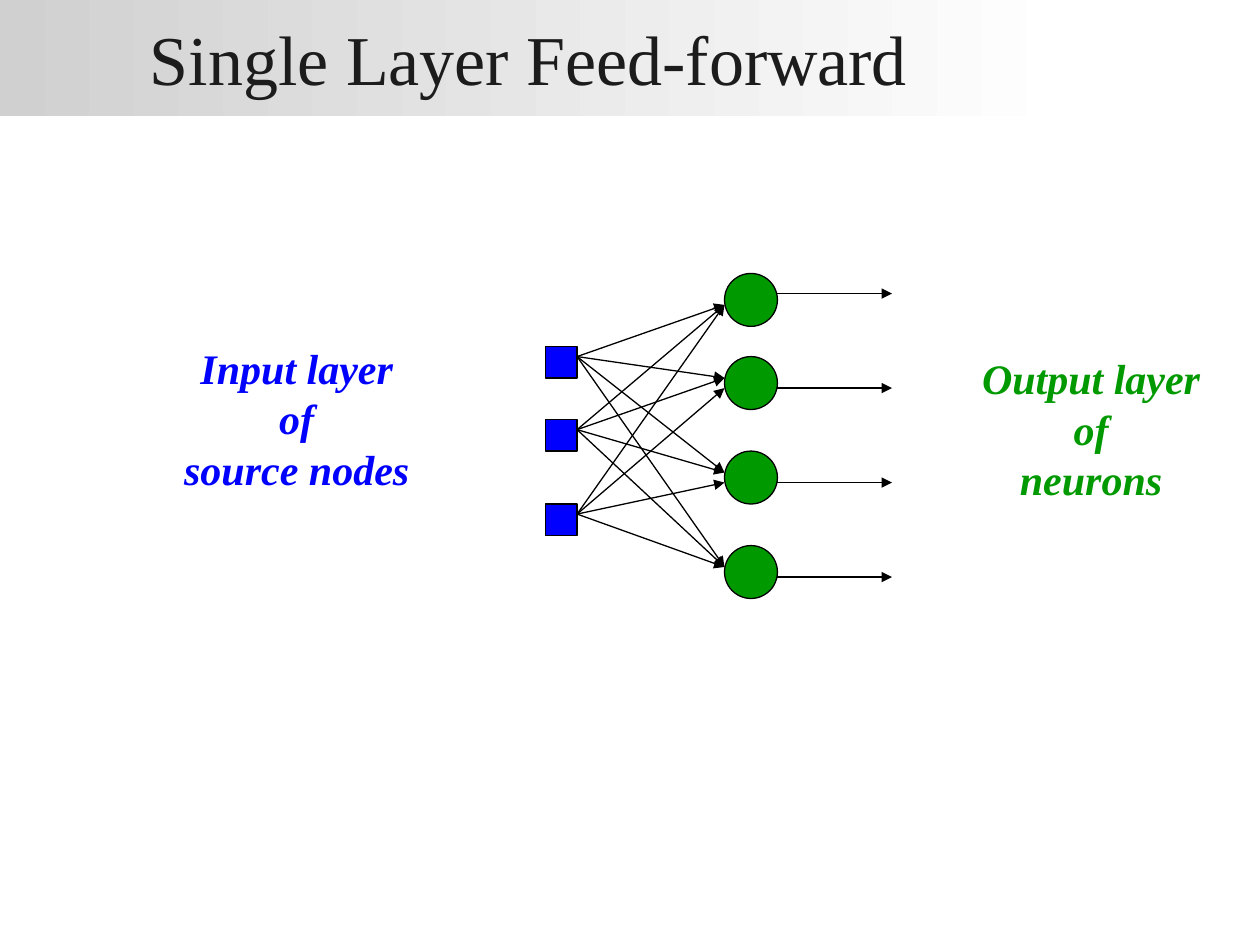
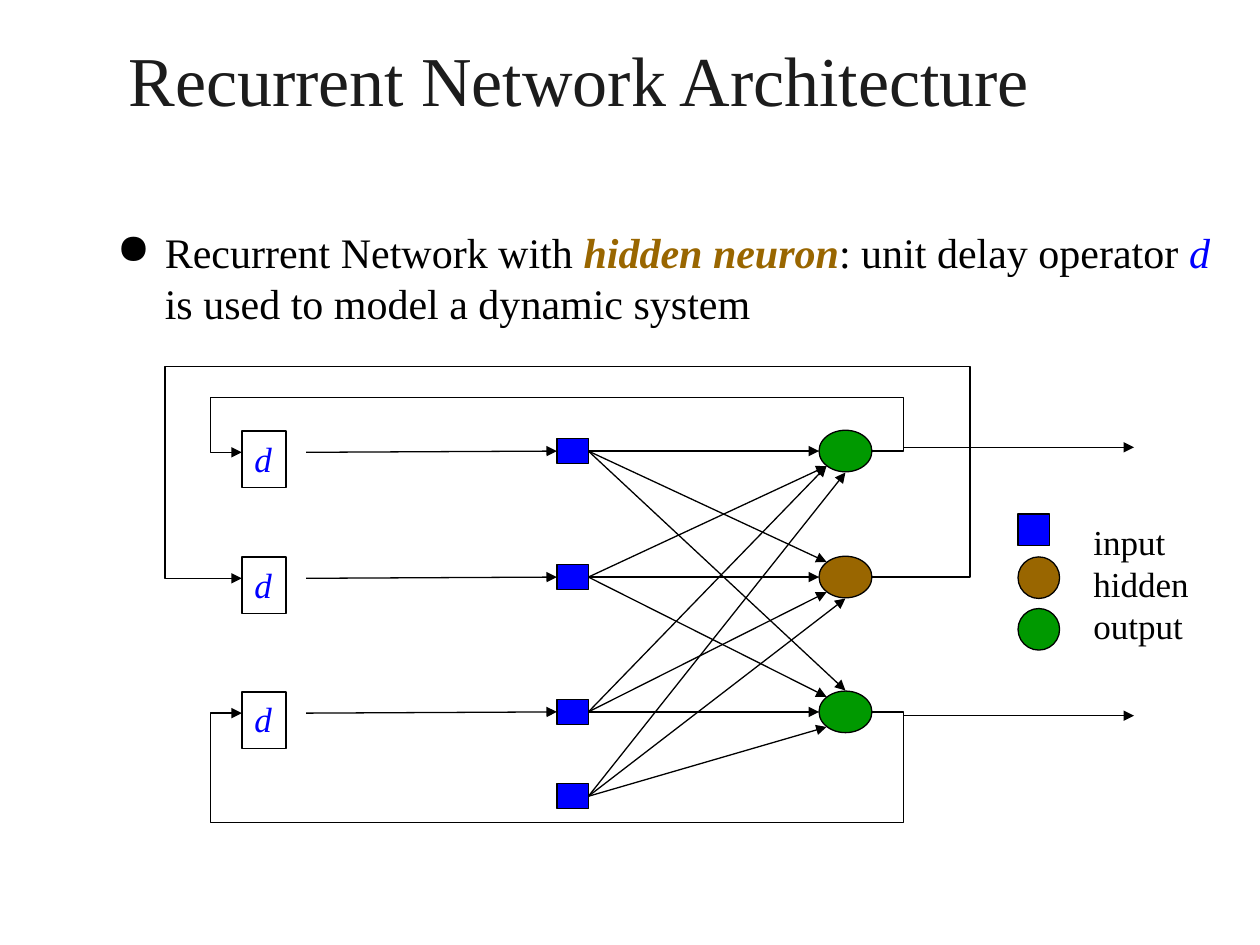
from lxml.etree import SubElement
from pptx import Presentation
from pptx.dml.color import RGBColor
from pptx.enum.shapes import MSO_CONNECTOR, MSO_SHAPE
from pptx.enum.text import MSO_ANCHOR, PP_ALIGN
from pptx.oxml.ns import qn
from pptx.util import Inches, Pt

FONT = "Times New Roman"
COLORS = {
    "title": "1C1C1C",
    "text": "000000",
    "line": "000000",
    "input": "0000FF",
    "hidden": "996600",
    "output": "009900",
    "band_start": "D0D0D0",
    "band_end": "FFFFFF",
}
LINE_WIDTH = 0.75
TITLE_ONLY = 5


def rgb(name):
    return RGBColor.from_string(COLORS[name])


def style_run(run, size, color, bold=False, italic=False):
    font = run.font
    font.name, font.size = FONT, Pt(size)
    font.bold, font.italic = bold, italic
    font.color.rgb = rgb(color)


def style_paragraphs(frame, size, color, align=PP_ALIGN.LEFT, bold=False, italic=False):
    for paragraph in frame.paragraphs:
        paragraph.alignment = align
        paragraph.line_spacing = Pt(size * 1.2)
        for run in paragraph.runs:
            style_run(run, size, color, bold, italic)


def add_titled_slide(prs, text, box, left_inset=0.02, right_inset=0.02):
    slide = prs.slides.add_slide(prs.slide_layouts[TITLE_ONLY])
    title = slide.shapes.title
    title.left, title.top, title.width, title.height = map(Inches, box)
    frame = title.text_frame
    frame.text = text
    frame.vertical_anchor = MSO_ANCHOR.MIDDLE
    frame.margin_left, frame.margin_right = Inches(left_inset), Inches(right_inset)
    frame.margin_top = frame.margin_bottom = Inches(0.01)
    frame.paragraphs[0].alignment = PP_ALIGN.CENTER
    style_run(frame.paragraphs[0].runs[0], 40, "title")
    return slide


def add_title_band(title):
    title.fill.gradient()
    title.fill.gradient_angle = 0
    for stop, color in zip(title.fill.gradient_stops, ("band_start", "band_end")):
        stop.color.rgb = rgb(color)


def add_label(slide, text, box, size, color, wrap=False, **style):
    label = slide.shapes.add_textbox(*map(Inches, box))
    label.text_frame.word_wrap = wrap
    label.text_frame.text = text
    style_paragraphs(label.text_frame, size, color, **style)


def add_node(slide, kind, left, top, width, height):
    """Input nodes are squares, all neurons are ellipses."""
    outline = MSO_SHAPE.RECTANGLE if kind == "input" else MSO_SHAPE.OVAL
    node = slide.shapes.add_shape(outline, *map(Inches, (left, top, width, height)))
    node.shadow.inherit = False
    node.fill.solid()
    node.fill.fore_color.rgb = rgb(kind)
    node.line.color.rgb = rgb("line")
    node.line.width = Pt(LINE_WIDTH)


def add_delay(slide, left, top):
    delay = slide.shapes.add_shape(
        MSO_SHAPE.RECTANGLE, *map(Inches, (left, top, 0.35, 0.45)))
    delay.shadow.inherit = False
    delay.fill.background()
    delay.line.color.rgb = rgb("line")
    delay.line.width = Pt(1)
    frame = delay.text_frame
    frame.word_wrap = False
    frame.vertical_anchor = MSO_ANCHOR.TOP
    frame.text = "d"
    style_paragraphs(frame, 20, "input", italic=True)


def add_arrow(slide, start, end, kind=MSO_CONNECTOR.STRAIGHT):
    arrow = slide.shapes.add_connector(kind, *map(Inches, (*start, *end)))
    arrow.line.color.rgb = rgb("line")
    arrow.line.width = Pt(LINE_WIDTH)
    SubElement(arrow.line._get_or_add_ln(), qn("a:tailEnd"), type="triangle")
    SubElement(arrow._element.spPr, qn("a:effectLst"))
    return arrow


def add_feedback(slide, start, end, right, level, left):
    """Route an arrow out to `right`, along `level` and back in from `left`."""
    arrow = add_arrow(slide, start, end, MSO_CONNECTOR.ELBOW)
    (x0, y0), (x1, y1) = start, end
    bends = ((right - x0) / (x1 - x0), (level - y0) / (y1 - y0), (left - x0) / (x1 - x0))
    geometry = arrow._element.spPr.find(qn("a:prstGeom"))
    geometry.set("prst", "bentConnector5")
    guides = geometry.find(qn("a:avLst"))
    for number, bend in enumerate(bends, 1):
        SubElement(guides, qn("a:gd"), name=f"adj{number}",
                   fmla=f"val {round(bend * 100000)}")


def add_bullet(slide, box, pieces):
    bullet = slide.shapes.add_textbox(*map(Inches, box))
    bullet.text_frame.word_wrap = True
    paragraph = bullet.text_frame.paragraphs[0]
    properties = paragraph._p.get_or_add_pPr()
    properties.set("marL", str(Inches(0.38)))
    properties.set("indent", str(-Inches(0.38)))
    bullet_color = SubElement(properties, qn("a:buClr"))
    SubElement(bullet_color, qn("a:srgbClr"), val=COLORS["text"])
    SubElement(properties, qn("a:buChar"), char="●")
    paragraph.line_spacing = Pt(28.8)
    for text, color, bold, italic in pieces:
        run = paragraph.add_run()
        run.text = text
        style_run(run, 24, color, bold, italic)


def build_feed_forward(prs):
    slide = add_titled_slide(prs, "Single Layer Feed-forward",
                             (0, 0, 8.5, 0.92), right_inset=0.13)
    add_title_band(slide.shapes.title)
    emphasis = {"align": PP_ALIGN.CENTER, "bold": True, "italic": True}
    add_label(slide, "Input layer\nof\nsource nodes", (1.17, 2.67, 2.37, 1.3),
              24, "input", **emphasis)
    add_label(slide, "Output layer\nof\nneurons", (7.58, 2.75, 2.16, 1.3),
              24, "output", **emphasis)

    source_x, source_size = 4.33, 0.25
    neuron_x, neuron_size = 5.75, 0.42
    neuron_tops = (2.17, 2.83, 3.58, 4.33)
    entries_from_above = (2.42, 3, 3.75, 4.5)
    entries_from_below = (2.42, 3.08, 3.83, 4.5)
    sources = ((2.75, entries_from_above), (3.33, entries_from_above),
               (4, entries_from_below))

    for top, entries in sources:
        add_node(slide, "input", source_x, top, source_size, source_size)
        for entry in entries:
            add_arrow(slide, (source_x + source_size, top + 0.08), (neuron_x, entry))
    for top, exit_y in zip(neuron_tops, (2.33, 3.08, 3.83, 4.58)):
        add_node(slide, "output", neuron_x, top, neuron_size, neuron_size)
        add_arrow(slide, (neuron_x + neuron_size, exit_y), (7.08, exit_y))


def build_recurrent(prs):
    slide = add_titled_slide(prs, "Recurrent Network Architecture",
                             (0.33, 0.25, 8.42, 0.75), left_inset=0.13)
    add_bullet(slide, (0.83, 1.75, 8.92, 0.83), (
        ("Recurrent Network with ", "text", False, False),
        ("hidden neuron", "hidden", True, True),
        (": unit delay operator ", "text", False, False),
        ("d ", "input", False, True),
        ("is used to model a dynamic system", "text", False, False),
    ))

    delay_x, input_x, neuron_x = 1.92, 4.42, 6.5
    input_width, input_height = 0.25, 0.2
    neuron_width, neuron_height = 0.42, 0.33
    rows = (3.58, 4.58, 5.65)
    ports = {
        "left": (0, 0),
        "upper left": (0.06, -0.12),
        "lower left": (0.06, 0.12),
        "top": (0.21, -0.17),
        "bottom": (0.21, 0.17),
    }
    # For each input: the port it reaches on each of the three neurons
    links = (
        (rows[0], ("left", "upper left", "top")),
        (rows[1], ("lower left", "left", "upper left")),
        (rows[2], ("lower left", "lower left", "left")),
        (6.32, ("bottom", "bottom", "lower left")),
    )

    for y, kind in zip(rows, ("output", "hidden", "output")):
        add_node(slide, kind, neuron_x, y - neuron_height / 2, neuron_width, neuron_height)
        add_delay(slide, delay_x, y - 0.16)
        add_arrow(slide, (2.43, y + 0.01), (input_x, y))
    for y, neuron_ports in links:
        add_node(slide, "input", input_x, y - input_height / 2, input_width, input_height)
        for row, port in zip(rows, neuron_ports):
            dx, dy = ports[port]
            add_arrow(slide, (input_x + input_width, y), (neuron_x + dx, row + dy))
    feedback_routes = ((7.17, 3.15, 1.67), (7.7, 2.88, 1.31), (7.17, 6.54, 1.67))
    for y, route in zip(rows, feedback_routes):
        add_feedback(slide, (neuron_x + neuron_width, y), (delay_x, y + 0.01), *route)
    for y in (3.55, 5.68):
        add_arrow(slide, (7.17, y), (9, y))

    for kind, top, size in (("input", 4.08, 0.25), ("hidden", 4.42, 0.33),
                            ("output", 4.83, 0.33)):
        add_node(slide, kind, 8.08, top, size, size)
    add_label(slide, "input\nhidden\noutput", (8.58, 4.08, 1.17, 1.1),
              20, "text", wrap=True)


def main():
    prs = Presentation()
    prs.slide_width, prs.slide_height = Inches(10), Inches(7.5)
    build_feed_forward(prs)
    build_recurrent(prs)
    prs.save("out.pptx")


if __name__ == "__main__":
    main()
